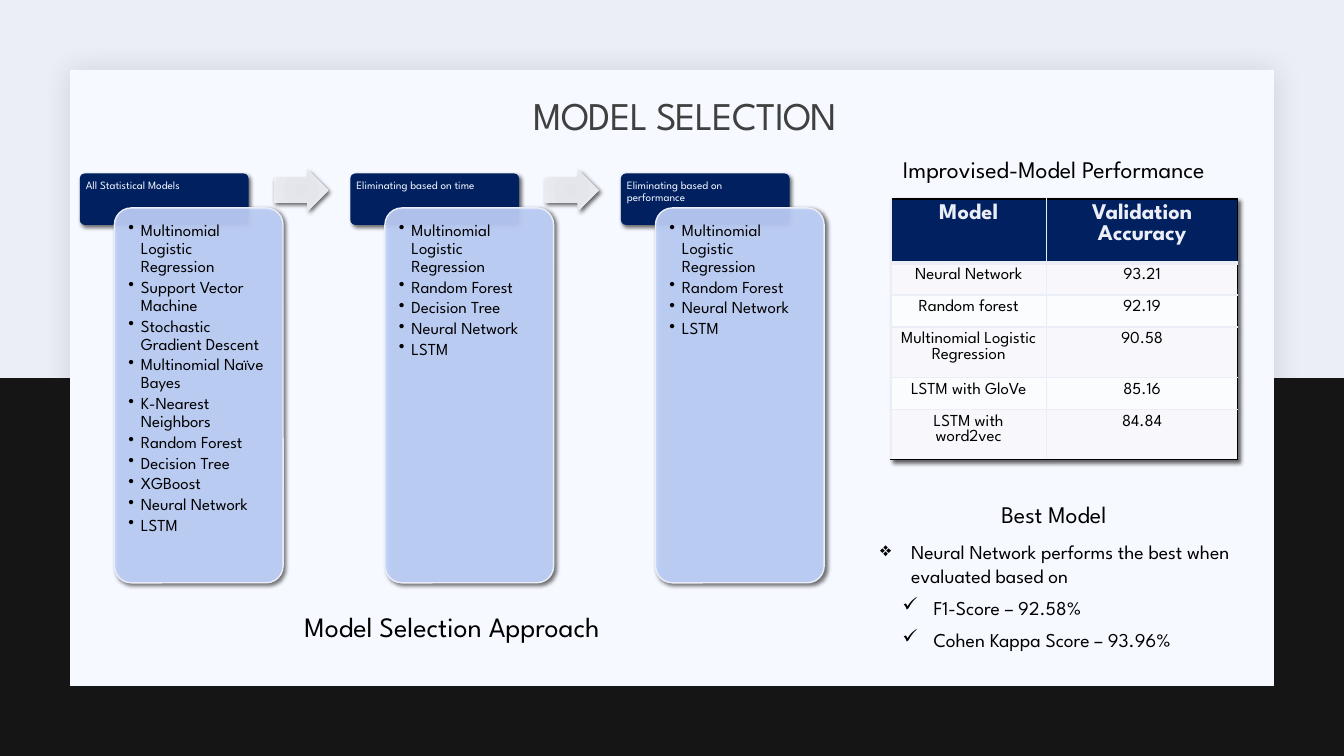
from lxml import etree
from pptx import Presentation
from pptx.dml.color import RGBColor
from pptx.enum.shapes import MSO_SHAPE
from pptx.enum.text import MSO_ANCHOR, PP_ALIGN
from pptx.oxml import parse_xml
from pptx.oxml.ns import nsdecls, qn
from pptx.util import Pt

RECT, ROUNDED, ARROW = MSO_SHAPE.RECTANGLE, MSO_SHAPE.ROUNDED_RECTANGLE, MSO_SHAPE.RIGHT_ARROW
CENTER, LEFT = PP_ALIGN.CENTER, PP_ALIGN.LEFT
TOP, MIDDLE = MSO_ANCHOR.TOP, MSO_ANCHOR.MIDDLE
PALE = RGBColor(0xEC, 0xEE, 0xF7)
BLACK = RGBColor(0, 0, 0)
BAND = RGBColor(0x14, 0x15, 0x14)
PANEL = RGBColor(0xF6, 0xF9, 0xFF)
PANEL_SHADOW = RGBColor(0x1F, 0x21, 0x25)
NAVY = RGBColor(0x00, 0x20, 0x60)
CARD = RGBColor(0xC3, 0xD5, 0xFF)
TITLE = RGBColor(0x40, 0x40, 0x40)
ODD_ROW = RGBColor(0xF8, 0xF8, 0xFC)
EVEN_ROW = RGBColor(0xFB, 0xFC, 0xFD)
ARROW_STOPS = [(0, RGBColor(0xE2, 0xE4, 0xEA)), (34, RGBColor(0xE5, 0xE6, 0xEC)),
               (70, RGBColor(0xE8, 0xE9, 0xF0)), (100, RGBColor(0xF4, 0xF5, 0xFB))]
FONT = "League Spartan"

presentation = Presentation()
presentation.slide_width, presentation.slide_height = Pt(960), Pt(540)
slide = presentation.slides.add_slide(presentation.slide_layouts[6])
slide.background.fill.solid()
slide.background.fill.fore_color.rgb = PALE


def add_block(kind, box, fill=None, shadow=None, line=None):
    block = slide.shapes.add_shape(kind, *[Pt(v) for v in box])
    block.shadow.inherit = False
    if fill is not None:
        block.fill.solid()
        block.fill.fore_color.rgb = fill
    if line is None:
        block.line.fill.background()
    else:
        block.line.color.rgb = line
        block.line.width = Pt(1)
    if shadow:
        color, alpha, blur, distance = shadow
        block._element.spPr.find(qn("a:effectLst")).append(parse_xml(
            f'<a:outerShdw {nsdecls("a")} blurRad="{Pt(blur)}" dist="{Pt(distance)}" dir="2700000">'
            f'<a:srgbClr val="{color}"><a:alpha val="{alpha * 1000}"/></a:srgbClr></a:outerShdw>'))
    return block


def add_text(box, items, size, color=BLACK, align=LEFT, anchor=TOP, insets=(0, 3.6, 0, 3.6),
             spacing=None, before=0, after=0):
    frame = slide.shapes.add_textbox(*[Pt(v) for v in box]).text_frame
    frame.word_wrap = True
    frame.vertical_anchor = anchor
    frame.margin_left, frame.margin_top, frame.margin_right, frame.margin_bottom = map(Pt, insets)
    for index, (text, bullet, indent, hanging) in enumerate(items):
        paragraph = frame.paragraphs[0] if index == 0 else frame.add_paragraph()
        if bullet:
            properties = paragraph._p.get_or_add_pPr()
            properties.set("marL", str(Pt(indent)))
            properties.set("indent", str(Pt(-hanging)))
            etree.SubElement(properties, qn("a:buChar")).set("char", bullet)
        paragraph.alignment = align
        if spacing:
            paragraph.line_spacing = spacing
        if index:
            paragraph.space_before = Pt(before)
        paragraph.space_after = Pt(after)
        run = paragraph.add_run()
        run.text = text
        run.font.size, run.font.name, run.font.color.rgb = Pt(size), FONT, color
    return frame


add_block(RECT, (0, 270, 960, 270), BAND)
add_block(RECT, (50, 50, 860, 440), PANEL, (PANEL_SHADOW, 15, 20, 2))
title = add_text((267, 61, 445, 46), [("MODEL SELECTION", None, 0, 0)], 28, TITLE, CENTER, MIDDLE,
                 (7.2, 3.6, 7.2, 3.6), 0.9)
title.paragraphs[0].runs[0].font._element.set("spc", "-50")

performance = [
    ("Model", "Validation Accuracy"),
    ("Neural Network", "93.21"),
    ("Random forest", "92.19"),
    ("Multinomial Logistic Regression", "90.58"),
    ("LSTM with GloVe", "85.16"),
    ("LSTM with word2vec", "84.84"),
]
table = slide.shapes.add_table(6, 2, Pt(636.5), Pt(142.2), Pt(247.7), Pt(164)).table
table.columns[0].width, table.columns[1].width = Pt(110.9), Pt(136.8)
table._tbl.tblPr.insert(0, parse_xml(
    f'<a:effectLst {nsdecls("a")}><a:outerShdw blurRad="{Pt(3)}" dist="{Pt(2)}" dir="2700000">'
    f'<a:srgbClr val="{BLACK}"><a:alpha val="60000"/></a:srgbClr></a:outerShdw></a:effectLst>'))
row_heights = [37, 22.9, 22.9, 29.3, 22.9, 29.3]
for r, (values, height) in enumerate(zip(performance, row_heights)):
    table.rows[r].height = Pt(height)
    for c, value in enumerate(values):
        cell = table.cell(r, c)
        cell.fill.solid()
        cell.fill.fore_color.rgb = NAVY if r == 0 else ODD_ROW if r % 2 else EVEN_ROW
        paragraph = cell.text_frame.paragraphs[0]
        paragraph.alignment = CENTER
        run = paragraph.add_run()
        run.text = value
        run.font.name, run.font.bold = FONT, r == 0
        run.font.size = Pt(12 if r else 16)
        run.font.color.rgb = BLACK if r else PALE
        borders = [("L", PALE, 1), ("R", BLACK if c else PALE, 1),
                   ("T", PALE if r else BLACK, 3 if r == 1 else 1),
                   ("B", BLACK if r == 5 else PALE, 1 if r else 3)]
        for position, (side, color, width) in enumerate(borders):
            cell._tc.get_or_add_tcPr().insert(position, parse_xml(
                f'<a:ln{side} {nsdecls("a")} w="{Pt(width)}"><a:solidFill>'
                f'<a:srgbClr val="{color}"/></a:solidFill></a:ln{side}>'))

stages = [
    ("All Statistical Models",
     ["Multinomial Logistic Regression", "Support Vector Machine", "Stochastic Gradient Descent",
      "Multinomial Naïve Bayes", "K-Nearest Neighbors", "Random Forest", "Decision Tree",
      "XGBoost", "Neural Network", "LSTM"]),
    ("Eliminating based on time",
     ["Multinomial Logistic Regression", "Random Forest", "Decision Tree", "Neural Network", "LSTM"]),
    ("Eliminating based on performance",
     ["Multinomial Logistic Regression", "Random Forest", "Neural Network", "LSTM"]),
]
STAGE_SHADOW = (BLACK, 60, 3, 2)
for index, (heading, models) in enumerate(stages):
    left = 57 + index * 193.25
    header = add_block(ROUNDED, (left, 123.9, 120.5, 36.8), NAVY, STAGE_SHADOW)
    header.adjustments[0] = 0.1
    add_text((left, 123.9, 120.5, 24.5), [(heading, None, 0, 0)], 8, PANEL,
             insets=(4.3, 4.3, 4.3, 2.2), spacing=0.9, after=2.8)
    card = add_block(ROUNDED, (left + 24.7, 148.5, 120.5, 267.8), CARD, STAGE_SHADOW, PALE)
    card.adjustments[0] = 0.1
    card_color = card._element.spPr.find(qn("a:solidFill"))[0]
    etree.SubElement(card_color, qn("a:alpha")).set("val", "90000")
    add_text((left + 28.2, 152, 113.4, 260.8), [(model, "•", 9, 9) for model in models], 12,
             insets=(6.4, 6.4, 6.4, 6.4), spacing=0.9, after=1.8)
    if index < len(stages) - 1:
        arrow = add_block(ARROW, (left + 138.8, 121, 38.7, 30), shadow=STAGE_SHADOW)
        arrow.adjustments[0], arrow.adjustments[1] = 0.6, 0.5
        stops = "".join(f'<a:gs pos="{stop * 1000}"><a:srgbClr val="{color}"/></a:gs>'
                        for stop, color in ARROW_STOPS)
        arrow._element.spPr.find(qn("a:prstGeom")).addnext(parse_xml(
            f'<a:gradFill {nsdecls("a")}><a:gsLst>{stops}</a:gsLst><a:path path="circle">'
            '<a:fillToRect l="100000" t="100000" r="100000" b="100000"/></a:path></a:gradFill>'))

findings = [
    ("Neural Network performs the best when evaluated based on", "❖", 22.3, 22.3),
    ("F1-Score – 92.58%", "✓", 38.2, 22.3),
    ("Cohen Kappa Score – 93.96%", "✓", 38.2, 22.3),
]
add_text((628.6, 373.7, 264.2, 103.7), findings, 14, anchor=MIDDLE, before=2, after=4)

captions = [
    ("Model Selection Approach", 177.1, 432, 20, None),
    ("Improvised-Model Performance", 607, 109.4, 17, 0.9),
    ("Best Model", 607, 353.5, 17, None),
]
for caption, left, top, size, spacing in captions:
    add_text((left, top, 291.6, 33), [(caption, None, 0, 0)], size, align=CENTER, spacing=spacing)

presentation.save("out.pptx")
